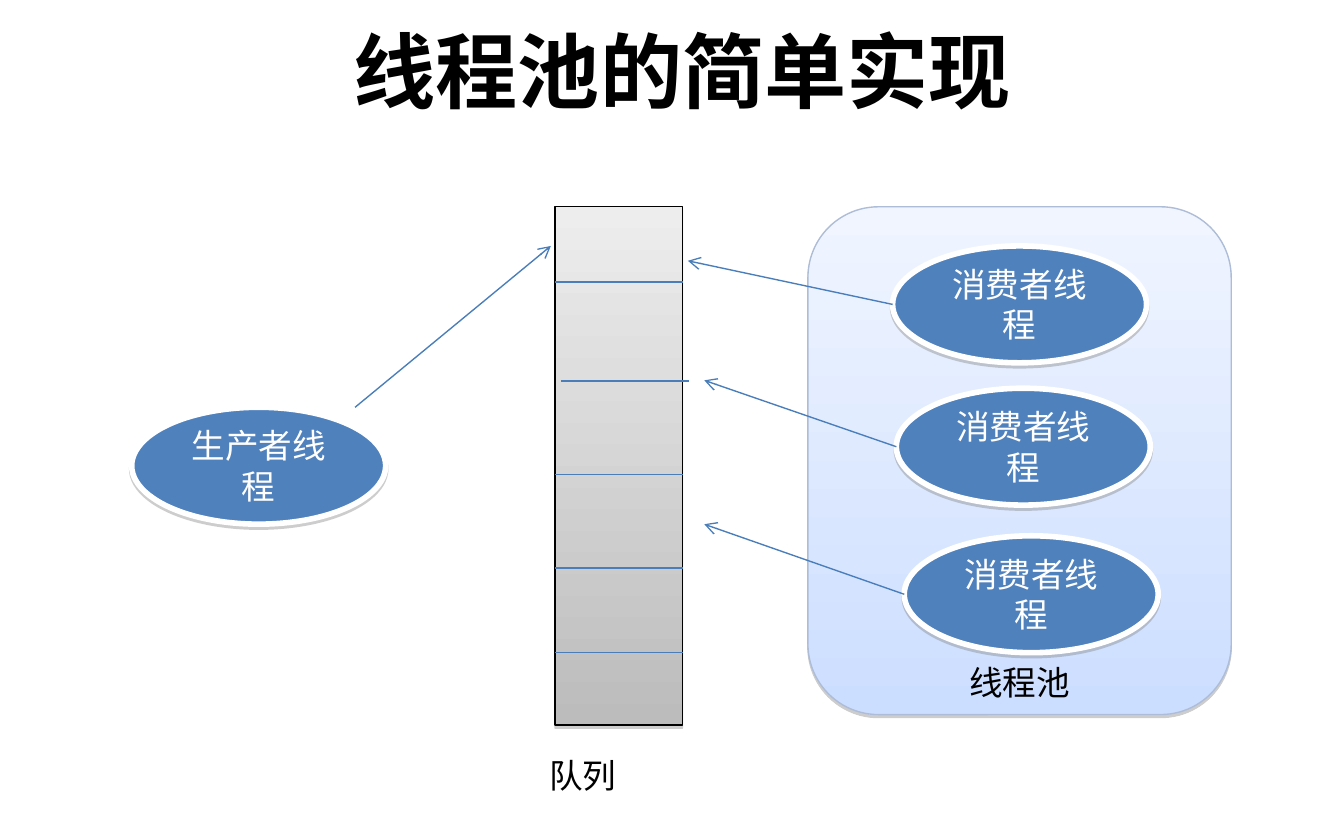
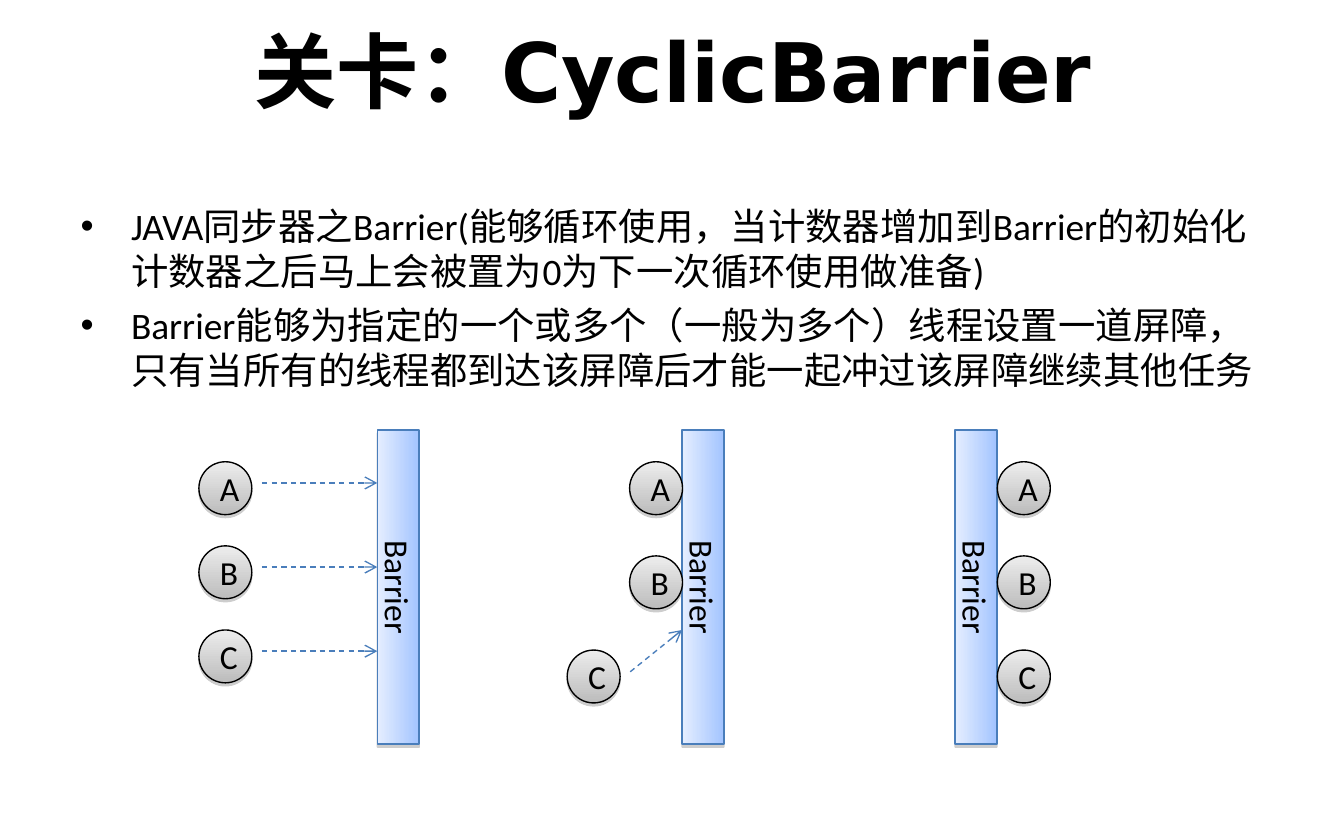
from dataclasses import dataclass
from lxml.etree import SubElement as Sub
from pptx import Presentation
from pptx.dml.color import RGBColor as Rgb
from pptx.enum.dml import MSO_LINE as Dash
from pptx.enum.shapes import MSO_CONNECTOR as Link, MSO_SHAPE as Kind
from pptx.enum.text import MSO_ANCHOR as Anchor, MSO_AUTO_SIZE as Fit, PP_ALIGN as Align
from pptx.oxml.ns import qn
from pptx.util import Cm, Pt


@dataclass(frozen=True)
class Theme:
    black: str = "000000"
    white: str = "FFFFFF"
    blue: str = "4F81BD"
    edge: str = "4A7EBB"
    rim: str = "ADBCD7"
    shade: str = "808080"
    grey: tuple = ("EDEDED", "BCBCBC")
    pale: tuple = ("F0F5FF", "CCDEFF")
    sky: tuple = ("E5EEFF", "A3C4FF")
    head: str = "DejaVu Sans"
    body: str = "Calibri"
    plain: str = "Arial"
    big: int = 44
    mid: int = 20
    small: int = 18
    thin: float = 0.75
    thick: float = 3


LOOK = Theme()
OVAL = (4.8, 2.21)
BALL = 1.0
WALL = (0.79, 5.94)
WALL_TOP = 8.13
ROW_TOP = 8.73


def place(shape, left, top, width, height):
    shape.left, shape.top = Cm(left), Cm(top)
    shape.width, shape.height = Cm(width), Cm(height)


def style(frame, size, color, face=LOOK.body, align=Align.CENTER, bold=None):
    frame.word_wrap = True
    frame.auto_size = Fit.NONE
    for para in frame.paragraphs:
        para.alignment = align
        for run in para.runs:
            font = run.font
            font.name, font.size, font.bold = face, Pt(size), bold
            font.color.rgb = Rgb.from_string(color)


def add_title(slide, text, left):
    title = slide.shapes.title
    place(title, left, 0, 22.86, 2.64)
    title.text_frame.text = text
    title.text_frame.vertical_anchor = Anchor.MIDDLE
    style(title.text_frame, LOOK.big, LOOK.black, LOOK.head, bold=True)


def add_list(slide, items, *box):
    body = slide.placeholders[1]
    place(body, *box)
    frame = body.text_frame
    frame.text = "\n".join(items)
    for i, para in enumerate(frame.paragraphs):
        para.space_before = Pt(5 if i else 0)
    style(frame, LOOK.mid, LOOK.black, align=Align.LEFT)


def add_label(slide, text, *box, face=LOOK.body, align=Align.CENTER):
    label = slide.shapes.add_textbox(*map(Cm, box))
    label.text_frame.text = text
    style(label.text_frame, LOOK.small, LOOK.black, face, align)


def paint(shape, fill, angle):
    """Fill with one colour, or with a pair of colours as a gradient."""
    if isinstance(fill, str):
        shape.fill.solid()
        shape.fill.fore_color.rgb = Rgb.from_string(fill)
        return
    shape.fill.gradient()
    shape.fill.gradient_angle = angle
    for stop, color in zip(shape.fill.gradient_stops, fill):
        stop.color.rgb = Rgb.from_string(color)


def add_shade(shape):
    """Give the shape a hard grey shadow just below it."""
    shape.shadow.inherit = False
    effects = shape._element.spPr.find(qn("a:effectLst"))
    cast = Sub(effects, qn("a:outerShdw"), blurRad="0", dist=str(Pt(1.6)),
               dir="5400000", rotWithShape="0")
    color = Sub(cast, qn("a:srgbClr"), val=LOOK.shade)
    Sub(color, qn("a:alpha"), val="38000")


def add_block(slide, kind, box, fill, line, text="", ink=LOOK.black,
              weight=LOOK.thin, angle=270):
    shape = slide.shapes.add_shape(kind, *map(Cm, box))
    paint(shape, fill, angle)
    shape.line.color.rgb = Rgb.from_string(line)
    shape.line.width = Pt(weight)
    add_shade(shape)
    if text:
        shape.text_frame.text = text
        shape.text_frame.vertical_anchor = Anchor.MIDDLE
        style(shape.text_frame, LOOK.small, ink)
    return shape


def add_line(slide, start, end, arrow=True, dashed=False):
    link = slide.shapes.add_connector(Link.STRAIGHT, *map(Cm, start + end))
    link.line.color.rgb = Rgb.from_string(LOOK.edge)
    link.line.width = Pt(LOOK.thin)
    if dashed:
        link.line.dash_style = Dash.DASH
    if arrow:
        Sub(link.line._get_or_add_ln(), qn("a:tailEnd"), type="arrow")
    Sub(link._element.spPr, qn("a:effectLst"))


def add_thread(slide, text, left, top):
    add_block(slide, Kind.OVAL, (left, top, *OVAL), LOOK.blue, LOOK.white,
              text, LOOK.white, LOOK.thick)


def add_ball(slide, name, left, top):
    add_block(slide, Kind.OVAL, (left, top, BALL, BALL), LOOK.grey, LOOK.black, name)


def add_wall(slide, left):
    """Lay a bar flat about its centre and turn it upright, text included."""
    wide, tall = WALL
    box = (left + (wide - tall) / 2, WALL_TOP + (tall - wide) / 2, tall, wide)
    wall = add_block(slide, Kind.RECTANGLE, box, LOOK.sky, LOOK.edge, "Barrier", angle=90)
    wall.rotation = 90


def draw_pool(slide):
    add_title(slide, "线程池的简单实现", 1.47)
    add_thread(slide, "生产者线程", 2.49, 7.7)
    left, wide = 10.49, 2.41
    add_block(slide, Kind.RECTANGLE, (left, 3.91, wide, 9.8), LOOK.grey, LOOK.black)
    add_block(slide, Kind.ROUNDED_RECTANGLE, (15.27, 3.91, 8, 9.6), LOOK.pale, LOOK.rim)
    add_label(slide, "线程池", 15.27, 12.39, 8, 1.02)
    for top, shift in ((5.33, 0), (7.2, 0.12), (8.97, 0), (10.74, 0), (12.34, 0)):
        add_line(slide, (left + shift, top), (left + shift + wide, top), arrow=False)
    add_label(slide, "队列", 10.13, 14.15, 3.4, 1.02, face=LOOK.plain, align=Align.LEFT)
    add_line(slide, (6.71, 7.7), (10.41, 4.65))
    for x, y, tip in ((16.87, 4.65, (13, 4.93)), (16.94, 7.34, (13.31, 7.19)),
                      (17.09, 10.13, (13.31, 9.91))):
        add_thread(slide, "消费者线程", x, y)
        add_line(slide, (x, y + OVAL[1] / 2), tip)


def draw_gate(slide):
    add_title(slide, "关卡：CyclicBarrier", 1.3)
    add_list(slide, (
        "JAVA同步器之Barrier(能够循环使用，当计数器增加到Barrier的初始化计数器之后马上会被置为0为下一次循环使用做准备)",
        "Barrier能够为指定的一个或多个（一般为多个）线程设置一道屏障，只有当所有的线程都到达该屏障后才能一起冲过该屏障继续其他任务",
    ), 1.27, 3.71, 22.86, 4.24)
    walls = (7.13, 12.89, 18.05)
    for left in walls:
        add_wall(slide, left)
    stages = (
        (1.59, (3.76, 3.76, 3.76)),
        (1.78, (11.9, 11.9, 10.72)),
        (1.78, (18.85, 18.85, 18.85)),
    )
    for step, lefts in stages:
        for i, (name, left) in enumerate(zip("ABC", lefts)):
            add_ball(slide, name, left, ROW_TOP + i * step)
    for i in range(3):
        y = ROW_TOP + 0.4 + i * stages[0][0]
        add_line(slide, (4.95, y), (walls[0], y), dashed=True)
    add_line(slide, (11.91, 12.7), (walls[1], 11.91), dashed=True)


def main():
    deck = Presentation()
    deck.slide_width, deck.slide_height = Cm(25.4), Cm(15.88)
    for layout, draw in ((5, draw_pool), (1, draw_gate)):
        draw(deck.slides.add_slide(deck.slide_layouts[layout]))
    deck.save("out.pptx")


if __name__ == "__main__":
    main()
